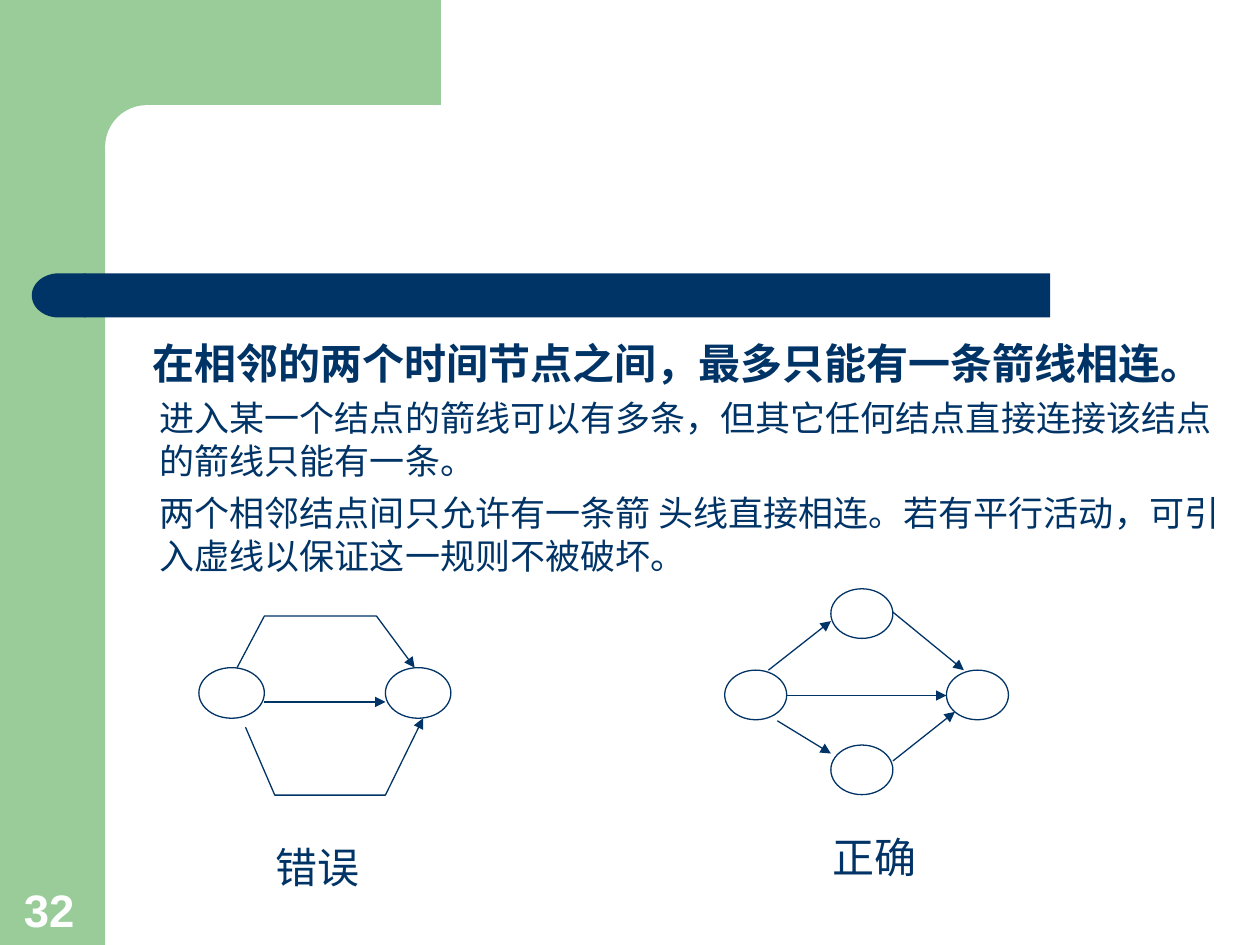
from itertools import starmap

from lxml.etree import SubElement
from pptx import Presentation
from pptx.dml.color import RGBColor
from pptx.enum.shapes import MSO_CONNECTOR, MSO_SHAPE
from pptx.enum.text import MSO_ANCHOR, MSO_AUTO_SIZE, PP_ALIGN
from pptx.oxml.ns import qn
from pptx.util import Cm, Pt

COLOURS = {"green": "99CC99", "navy": "003366", "white": "FFFFFF"}
HAN_FONT = "Noto Sans CJK SC"
HEADING = {"name": HAN_FONT, "size": Pt(24), "bold": True}
BODY = {"name": "Arial", "size": Pt(20), "bold": False}
LABEL = {"name": "Times New Roman", "size": Pt(24), "bold": False}
NUMBER = {"name": "Arial", "size": Pt(26), "bold": True}


def colour(name):
    """Return the named palette colour."""
    return RGBColor.from_string(COLOURS[name])


def place(shape, frame):
    """Set left, top, width and height in centimetres."""
    for name, value in zip(("left", "top", "width", "height"), frame):
        setattr(shape, name, Cm(value))


def add_block(page, kind, frame, fill, outlined=False):
    """Add a filled preset shape with an optional navy outline."""
    block = page.shapes.add_shape(kind, *map(Cm, frame))
    block.shadow.inherit = False
    block.fill.solid()
    block.fill.fore_color.rgb = colour(fill)
    if outlined:
        style_line(block.line)
    else:
        block.line.fill.background()
    return block


def style_line(line):
    """Give a line the diagram's colour and width."""
    line.color.rgb = colour("navy")
    line.width = Pt(0.75)


def add_head(line):
    """End a line with a triangular arrowhead."""
    SubElement(line._get_or_add_ln(), qn("a:tailEnd"), type="triangle")


def add_arrow(page, start, end):
    """Add a straight arrow."""
    arrow = page.shapes.add_connector(MSO_CONNECTOR.STRAIGHT, *map(Cm, start + end))
    style_line(arrow.line)
    add_head(arrow.line)
    SubElement(arrow._element.spPr, qn("a:effectLst"))


def add_bent_arrow(page, points):
    """Add an open arrow through several points."""
    start, *others = [tuple(map(Cm, point)) for point in points]
    builder = page.shapes.build_freeform(*start)
    builder.add_line_segments(others, close=False)
    arrow = builder.convert_to_shape()
    arrow.shadow.inherit = False
    arrow.fill.background()
    style_line(arrow.line)
    add_head(arrow.line)


def fill_text(box, texts, font, spacing=None, tint="navy", wrap=False, anchor=MSO_ANCHOR.TOP):
    """Write paragraphs into a box in one format."""
    frame = box.text_frame
    settings = {"word_wrap": wrap, "auto_size": MSO_AUTO_SIZE.NONE, "vertical_anchor": anchor}
    for name, value in settings.items():
        setattr(frame, name, value)
    for index, text in enumerate(texts):
        para = frame.add_paragraph() if index else frame.paragraphs[0]
        para.alignment = PP_ALIGN.LEFT
        para.line_spacing = spacing
        para.space_before = Pt(5 if index else 0)
        span = para.add_run()
        span.text = text
        for name, value in font.items():
            setattr(span.font, name, value)
        span.font.color.rgb = colour(tint)
        SubElement(span._r.get_or_add_rPr(), qn("a:ea"), typeface=HAN_FONT)


def add_text(page, frame, *content, **options):
    """Add a text box."""
    fill_text(page.shapes.add_textbox(*map(Cm, frame)), *content, **options)


def add_nodes(page, corners, width, height):
    """Add equal elliptical nodes at the given corners."""
    for left, top in corners:
        add_block(page, MSO_SHAPE.OVAL, (left, top, width, height), "white", outlined=True)


def draw_frame(page):
    """Draw the green margin and the navy bar."""
    add_block(page, MSO_SHAPE.RECTANGLE, (0, 0, 2.12, 19.05), "green")
    add_block(page, MSO_SHAPE.RECTANGLE, (1.9, 0, 6.99, 2.96), "green")
    corner = add_block(page, MSO_SHAPE.ROUNDED_RECTANGLE, (2.12, 2.12, 14.17, 1.69), "white")
    corner.adjustments[0] = 0.5
    add_block(page, MSO_SHAPE.RECTANGLE, (1.69, 5.51, 19.48, 0.89), "navy")
    cap = add_block(page, MSO_SHAPE.FLOWCHART_DELAY, (0.64, 5.51, 1.08, 0.89), "navy")
    cap.rotation = 180


def draw_wrong(page):
    """Draw the network with three parallel arrows."""
    add_nodes(page, [(4.01, 13.46), (7.77, 13.46)], 1.32, 1.02)
    add_bent_arrow(page, [(4.78, 13.46), (5.33, 12.42), (7.59, 12.42), (8.36, 13.46)])
    add_bent_arrow(page, [(4.95, 14.66), (5.54, 16.03), (7.77, 16.03), (8.53, 14.48)])
    add_arrow(page, (5.33, 14.15), (7.77, 14.15))
    add_text(page, (5.31, 16.76, 2.18, 1.27), ["错误"], LABEL, Pt(31))


def draw_right(page):
    """Draw the network with intermediate nodes."""
    corners = [(14.61, 13.51), (19.08, 13.51), (16.75, 15.02), (16.75, 11.87)]
    add_nodes(page, corners, 1.25, 1)
    arrows = [
        ((15.49, 13.51), (16.75, 12.52)),
        ((18, 12.34), (19.43, 13.51)),
        ((15.85, 14.02), (19.08, 14.02)),
        ((15.67, 14.53), (16.75, 15.19)),
        ((18, 15.34), (19.25, 14.35)),
    ]
    list(starmap(lambda start, end: add_arrow(page, start, end), arrows))
    add_text(page, (16.54, 16.56, 2.18, 1.27), ["正确"], LABEL, Pt(31))


def main():
    """Build the slide and save it."""
    deck = Presentation()
    deck.slide_width, deck.slide_height = Cm(25.4), Cm(19.05)
    page = deck.slides.add_slide(deck.slide_layouts[5])
    draw_frame(page)
    title = page.shapes.title
    place(title, (2.82, 6.6, 21.67, 1.27))
    fill_text(title, ["在相邻的两个时间节点之间，最多只能有一条箭线相连。"], HEADING, Pt(31))
    rules = [
        "进入某一个结点的箭线可以有多条，但其它任何结点直接连接该结点的箭线只能有一条。",
        "两个相邻结点间只允许有一条箭 头线直接相连。若有平行活动，可引入虚线以保证这一规则不被破坏。",
    ]
    draw_wrong(page)
    draw_right(page)
    add_text(page, (2.97, 7.86, 22.02, 5.87), rules, BODY, Pt(24.5), wrap=True)
    add_text(page, (0.23, 17.63, 1.63, 1.37), ["32"], NUMBER, tint="white",
             anchor=MSO_ANCHOR.BOTTOM)
    deck.save("out.pptx")


if __name__ == "__main__":
    main()
